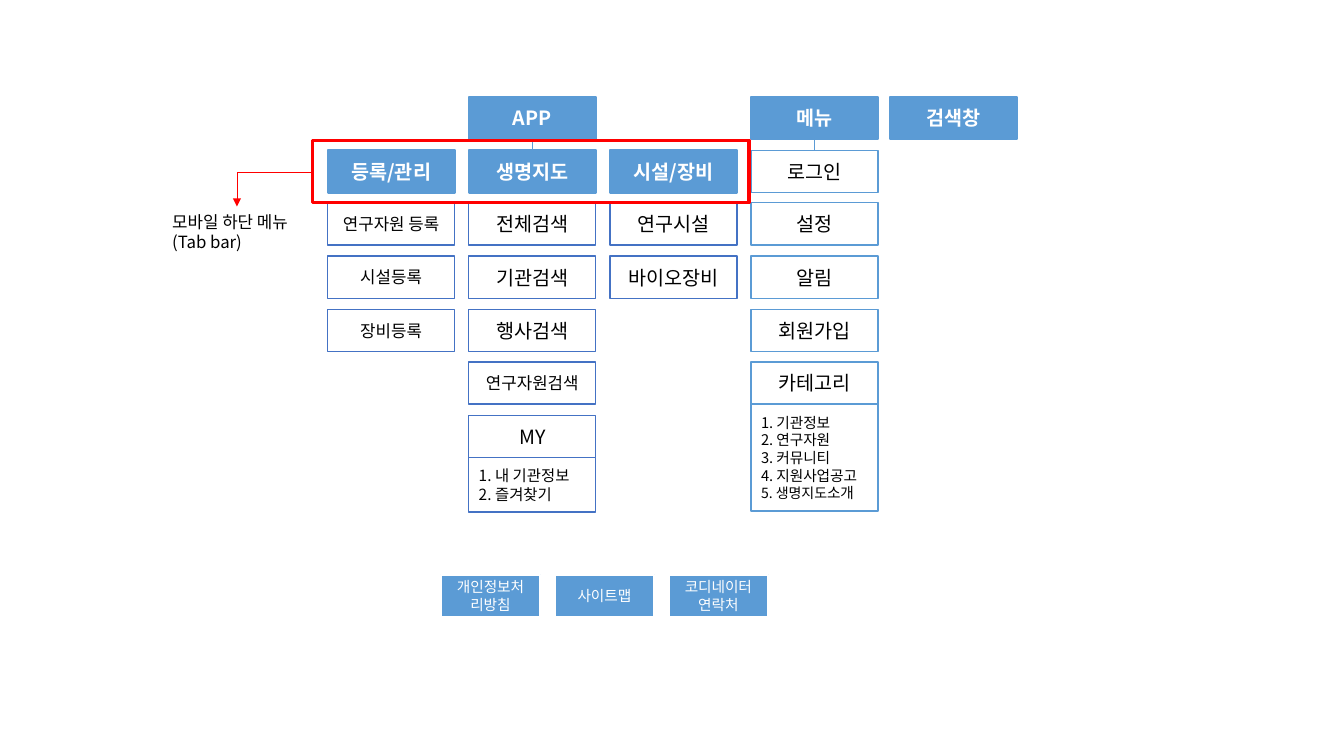
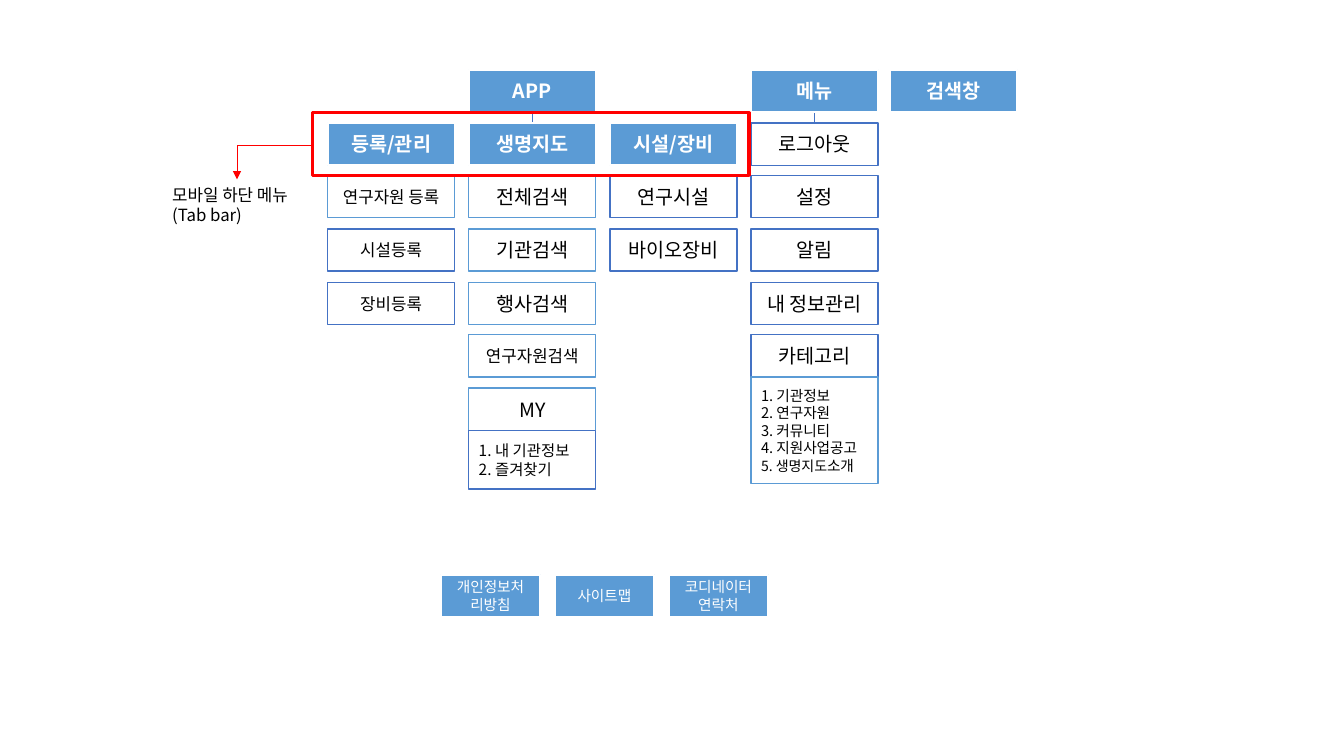
"""Builds two app site maps: signed out and signed in."""
import dataclasses

import pptx
import pptx.dml.color
import pptx.enum.shapes
import pptx.enum.text
import pptx.oxml.ns
import pptx.util
from lxml import etree

ALIGN = pptx.enum.text.PP_ALIGN


@dataclasses.dataclass(frozen=True)
class Theme:
    """Colours, font and type sizes."""
    font: str = "Noto Sans CJK KR"
    sky: str = "5B9BD5"
    royal: str = "4472C4"
    white: str = "FFFFFF"
    black: str = "000000"
    red: str = "FF0000"
    label: float = 14
    compact: float = 12
    my_list: float = 11
    small: float = 10.5
    tight: float = 10


@dataclasses.dataclass(frozen=True)
class SiteMap:
    """What differs between the two site maps."""
    top: int
    header_line: str
    register_tints: tuple
    app_tint: str
    facility_tint: str
    menu_tint: str
    menu_items: tuple
    app_stem_tint: str
    menu_stem: tuple
    my_height: int


THEME = Theme()
EMU_PER_PX = 9144
SLIDE_W, SLIDE_H = 1333, 750
BOX_W, BOX_H = 126, 42
REGISTER_X, APP_X, FACILITY_X, MENU_X = (325 + 140 * i for i in range(4))
SEARCH_X = MENU_X + 138
FRAME_X, FRAME_W, FRAME_H = 310, 433, 62
NOTE_X, NOTE_W, NOTE_H = 161, 149, 50
FOOTER_X, FOOTER_Y, FOOTER_W, FOOTER_STEP = 437, 570, 99, 113

REGISTER_ITEMS = ("연구자원 등록", "시설등록", "장비등록")
APP_ITEMS = ("전체검색", "기관검색", "행사검색", "연구자원검색", "MY")
FACILITY_ITEMS = ("연구시설", "바이오장비")
COMPACT_ITEMS = REGISTER_ITEMS + ("연구자원검색",)
MY_LIST = ("1. 내 기관정보", "2. 즐겨찾기")
CATEGORY_LIST = ("1. 기관정보", "2. 연구자원", "3. 커뮤니티", "4. 지원사업공고",
                 (("5. 생명지도", THEME.tight), ("소개", THEME.small)))
FOOTERS = (("개인정보처리방침",), ("사이트맵",), ("코디네이터", "연락처"))

SITE_MAPS = (
    SiteMap(top=96, header_line=THEME.sky, register_tints=(THEME.royal,) * 3,
            app_tint=THEME.royal, facility_tint=THEME.royal, menu_tint=THEME.sky,
            menu_items=("로그인", "설정", "알림", "회원가입", "카테고리"),
            app_stem_tint=THEME.sky, menu_stem=(12, THEME.sky, 0.5), my_height=54),
    SiteMap(top=69, header_line=THEME.white,
            register_tints=(THEME.sky, THEME.royal, THEME.royal),
            app_tint=THEME.sky, facility_tint=THEME.royal, menu_tint=THEME.royal,
            menu_items=("로그아웃", "설정", "알림", "내 정보관리", "카테고리"),
            app_stem_tint=THEME.royal, menu_stem=(16, THEME.royal, 1), my_height=58),
)


def px(length):
    """Turn px into EMU."""
    return pptx.util.Emu(length * EMU_PER_PX)


def rgb(code):
    """Turn a hex code into a colour."""
    return pptx.dml.color.RGBColor.from_string(code)


def row_offset(row):
    """Distance of a grid row from the top row."""
    return round(316 * row / 6)


def write_text(frame, paragraphs, *, size, color=THEME.black, bold=False, align=ALIGN.LEFT):
    """Fill a text frame; a paragraph is a string or (text, size) pairs."""
    frame.word_wrap = True
    for index, content in enumerate(paragraphs):
        paragraph = frame.paragraphs[0] if index == 0 else frame.add_paragraph()
        paragraph.alignment = align
        pieces = ((content, size),) if isinstance(content, str) else content
        for text, points in pieces:
            run = paragraph.add_run()
            run.text = text
            run.font.size = pptx.util.Pt(points)
            run.font.bold = bold
            run.font.color.rgb = rgb(color)
            run.font.name = THEME.font
            east_asian = etree.SubElement(run.font._element, pptx.oxml.ns.qn("a:ea"))
            east_asian.set("typeface", THEME.font)


class Board:
    """Draws site map elements on the current slide."""

    def __init__(self, deck):
        self.deck = deck
        self.slide = None

    def new_slide(self):
        """Start a blank slide."""
        self.slide = self.deck.slides.add_slide(self.deck.slide_layouts[6])

    def box(self, x, y, w, h, *, line, weight, fill=None):
        """Add a rectangle and return its text frame."""
        shape = self.slide.shapes.add_shape(
            pptx.enum.shapes.MSO_SHAPE.RECTANGLE, px(x), px(y), px(w), px(h))
        shape.shadow.inherit = False
        if fill:
            shape.fill.solid()
            shape.fill.fore_color.rgb = rgb(fill)
        else:
            shape.fill.background()
        shape.line.color.rgb = rgb(line)
        shape.line.width = pptx.util.Pt(weight)
        shape.text_frame.vertical_anchor = pptx.enum.text.MSO_ANCHOR.MIDDLE
        return shape.text_frame

    def header(self, x, y, text, line):
        """Add a filled heading box."""
        frame = self.box(x, y, BOX_W, BOX_H, line=line, weight=1.5, fill=THEME.sky)
        write_text(frame, (text,), size=THEME.label, color=THEME.white, bold=True,
                   align=ALIGN.CENTER)

    def column(self, x, top, first_row, items, tints):
        """Stack outlined item boxes on the row grid."""
        for row, (item, tint) in enumerate(zip(items, tints), first_row):
            frame = self.box(x, top + row_offset(row), BOX_W, BOX_H, line=tint, weight=1,
                             fill=THEME.white)
            size = THEME.compact if item in COMPACT_ITEMS else THEME.label
            write_text(frame, (item,), size=size, align=ALIGN.CENTER)

    def details(self, x, y, h, entries, *, tint, size):
        """Add a numbered list box below an item."""
        frame = self.box(x, y, BOX_W, h, line=tint, weight=1, fill=THEME.white)
        write_text(frame, entries, size=size)

    def connector(self, kind, start, end, color, weight):
        """Add a connector without shadow."""
        link = self.slide.shapes.add_connector(kind, *map(px, start + end))
        link.line.color.rgb = rgb(color)
        link.line.width = pptx.util.Pt(weight)
        etree.SubElement(link._element.spPr, pptx.oxml.ns.qn("a:effectLst"))
        return link

    def stem(self, x, y, length, color, weight):
        """Add a vertical line below a heading."""
        center = x + BOX_W // 2
        self.connector(pptx.enum.shapes.MSO_CONNECTOR.STRAIGHT,
                       (center, y), (center, y + length), color, weight)

    def elbow_arrow(self, start, end):
        """Add a red arrow with one bend."""
        arrow = self.connector(pptx.enum.shapes.MSO_CONNECTOR.ELBOW, start, end, THEME.red, 0.5)
        properties = arrow._element.spPr
        properties.find(pptx.oxml.ns.qn("a:prstGeom")).set("prst", "bentConnector2")
        placement = properties.find(pptx.oxml.ns.qn("a:xfrm"))
        placement.attrib.pop("flipH", None)
        placement.set("rot", "10800000")
        placement.set("flipV", "1")
        outline = properties.find(pptx.oxml.ns.qn("a:ln"))
        etree.SubElement(outline, pptx.oxml.ns.qn("a:tailEnd")).set("type", "triangle")

    def tab_bar(self, top):
        """Frame the tab row and point to its note."""
        note_y = top + 109
        self.elbow_arrow((FRAME_X, top + 75), (235, note_y))
        note = self.slide.shapes.add_textbox(px(NOTE_X), px(note_y), px(NOTE_W), px(NOTE_H))
        write_text(note.text_frame, ("모바일 하단 메뉴(Tab bar)",), size=THEME.compact)
        self.box(FRAME_X, top + 43, FRAME_W, FRAME_H, line=THEME.red, weight=2.25)

    def footers(self):
        """Add the row of footer buttons."""
        for index, label in enumerate(FOOTERS):
            frame = self.box(FOOTER_X + index * FOOTER_STEP, FOOTER_Y, FOOTER_W, BOX_H,
                             line=THEME.white, weight=1.5, fill=THEME.sky)
            write_text(frame, label, size=THEME.small, color=THEME.white, align=ALIGN.CENTER)

    def site_map(self, site):
        """Draw one whole site map."""
        self.new_slide()
        top = site.top
        self.stem(APP_X, top + BOX_H, 11, site.app_stem_tint, 0.5)
        self.stem(MENU_X, top + BOX_H, *site.menu_stem)
        for x, row, text in ((APP_X, 0, "APP"), (MENU_X, 0, "메뉴"), (SEARCH_X, 0, "검색창"),
                             (REGISTER_X, 1, "등록/관리"), (APP_X, 1, "생명지도"),
                             (FACILITY_X, 1, "시설/장비")):
            self.header(x, top + row_offset(row), text, site.header_line)
        self.column(REGISTER_X, top, 2, REGISTER_ITEMS, site.register_tints)
        self.column(APP_X, top, 2, APP_ITEMS, (site.app_tint,) * len(APP_ITEMS))
        self.column(FACILITY_X, top, 2, FACILITY_ITEMS,
                    (site.facility_tint,) * len(FACILITY_ITEMS))
        self.column(MENU_X, top, 1, site.menu_items, (site.menu_tint,) * len(site.menu_items))
        self.details(APP_X, top + row_offset(6) + BOX_H, site.my_height, MY_LIST,
                     tint=THEME.royal, size=THEME.my_list)
        self.details(MENU_X, top + row_offset(5) + BOX_H, 106, CATEGORY_LIST,
                     tint=THEME.sky, size=THEME.small)
        self.tab_bar(top)
        self.footers()


def main():
    """Build and save the deck."""
    deck = pptx.Presentation()
    deck.slide_width, deck.slide_height = px(SLIDE_W), px(SLIDE_H)
    board = Board(deck)
    for site in SITE_MAPS:
        board.site_map(site)
    deck.save("out.pptx")


if __name__ == "__main__":
    main()
